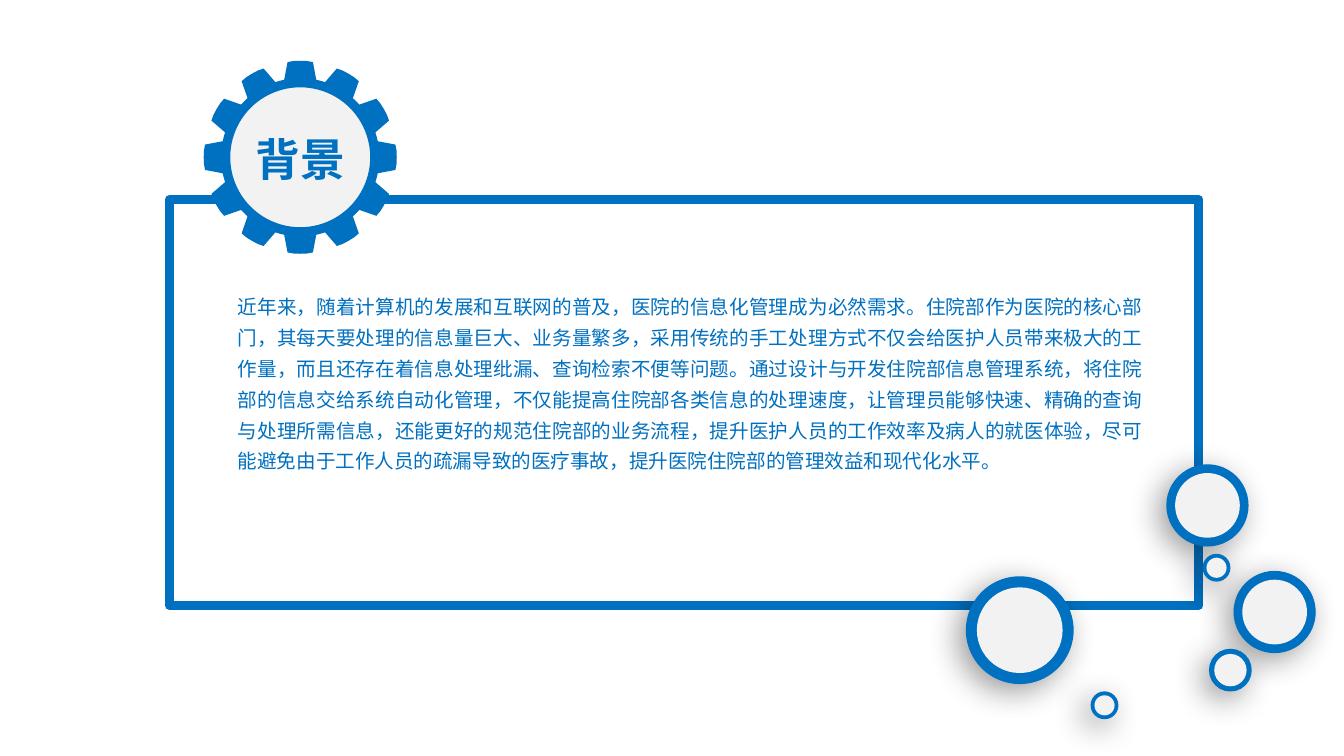
import math

import pptx
import pptx.dml.color
import pptx.enum.shapes
import pptx.enum.text
import pptx.oxml
import pptx.oxml.ns
import pptx.util

PX = 9144  # 100 px to the inch
FONT = "Noto Sans CJK SC"
COLORS = {"blue": "0070C0", "pale": "F2F2F2", "shadow": "000000"}
TEETH = 12

TITLE = "背景"
BODY = (
    "近年来，随着计算机的发展和互联网的普及，医院的信息化管理成为必然需求。"
    "住院部作为医院的核心部门，其每天要处理的信息量巨大、业务量繁多，"
    "采用传统的手工处理方式不仅会给医护人员带来极大的工作量，"
    "而且还存在着信息处理纰漏、查询检索不便等问题。"
    "通过设计与开发住院部信息管理系统，将住院部的信息交给系统自动化管理，"
    "不仅能提高住院部各类信息的处理速度，让管理员能够快速、精确的查询与处理所需信息，"
    "还能更好的规范住院部的业务流程，提升医护人员的工作效率及病人的就医体验，"
    "尽可能避免由于工作人员的疏漏导致的医疗事故，提升医院住院部的管理效益和现代化水平。"
)

# Left, top and diameter of each bubble
BUBBLES = [
    (1158, 537, 74),
    (1135, 610, 37),
    (907, 542, 98),
    (1024, 650, 23),
    (1095, 437, 74),
    (1129, 521, 23),
]


def px(length):
    return pptx.util.Emu(round(length * PX))


def color(name):
    return pptx.dml.color.RGBColor.from_string(COLORS[name])


def style(shape, fill=None, line=None, width=0):
    shape.shadow.inherit = False
    if fill:
        shape.fill.solid()
        shape.fill.fore_color.rgb = color(fill)
    else:
        shape.fill.background()
    if line:
        shape.line.color.rgb = color(line)
        shape.line.width = pptx.util.Pt(width)
    else:
        shape.line.fill.background()


def add_shape(shapes, kind, box, **look):
    preset = getattr(pptx.enum.shapes.MSO_SHAPE, kind)
    shape = shapes.add_shape(preset, *map(px, box))
    style(shape, **look)
    return shape


def add_soft_shadow(shape):
    effects = shape._element.spPr.find(pptx.oxml.ns.qn("a:effectLst"))
    effects.append(pptx.oxml.parse_xml(
        f'<a:outerShdw {pptx.oxml.ns.nsdecls("a")} blurRad="{22 * 12700}" '
        f'dist="{7 * 12700}" dir="{135 * 60000}" algn="tr" rotWithShape="0">'
        f'<a:srgbClr val="{COLORS["shadow"]}"><a:alpha val="40000"/></a:srgbClr>'
        "</a:outerShdw>"))


def add_text(slide, box, text, size, alignment, bold=False, margins=(0, 0)):
    frame = slide.shapes.add_textbox(*map(px, box)).text_frame
    frame.word_wrap = True
    frame.auto_size = pptx.enum.text.MSO_AUTO_SIZE.SHAPE_TO_FIT_TEXT
    frame.margin_left = frame.margin_right = px(margins[0])
    frame.margin_top = frame.margin_bottom = px(margins[1])
    paragraph = frame.paragraphs[0]
    paragraph.alignment = alignment
    run = paragraph.add_run()
    run.text = text
    run.font.size = pptx.util.Pt(size)
    run.font.bold = bold
    run.font.name = FONT
    run.font.color.rgb = color("blue")
    latin = run._r.rPr.find(pptx.oxml.ns.qn("a:latin"))
    latin.addnext(pptx.oxml.parse_xml(
        f'<a:ea {pptx.oxml.ns.nsdecls("a")} typeface="{FONT}"/>'))
    return paragraph


def add_panel(slide, left, top, width, height):
    # Frame with rounded line joins
    frame = add_shape(slide.shapes, "RECTANGLE", (left, top, width, height),
                      line="blue", width=6)
    frame.line._get_or_add_ln().append(
        pptx.oxml.parse_xml(f'<a:round {pptx.oxml.ns.nsdecls("a")}/>'))

    # Body text
    paragraph = add_text(slide, (left + 51, top + 77, width - 91, 186), BODY, 13.2,
                         pptx.enum.text.PP_ALIGN.JUSTIFY, margins=(13, 6))
    paragraph.line_spacing = pptx.util.Pt(20.8)
    paragraph.space_after = pptx.util.Pt(11.3)


def gear_points(center_x, center_y, outer):
    root = outer * 0.82
    # Angle from the middle of a tooth, and the radius there
    tooth = [(-11.7, root), (-7.6, outer * 0.995), (-4, outer), (0, outer),
             (4, outer), (7.6, outer * 0.995), (11.7, root), (15, root)]
    for number in range(TEETH):
        for offset, radius in tooth:
            angle = math.radians(number * 360 / TEETH + offset)
            yield (px(center_x + radius * math.sin(angle)),
                   px(center_y - radius * math.cos(angle)))


def add_gear_badge(slide, left, top, size):
    center_x, center_y = left + size / 2, top + size / 2
    group = slide.shapes.add_group_shape()

    # Gear
    first, *others = gear_points(center_x, center_y, size / 2)
    builder = group.shapes.build_freeform(*first, scale=1)
    builder.add_line_segments(others, close=True)
    style(builder.convert_to_shape(), fill="blue")

    # Pale disc
    disc = 134
    add_shape(group.shapes, "OVAL",
              (center_x - disc / 2, center_y - disc / 2, disc, disc),
              fill="pale", line="blue", width=2)

    # Title
    add_text(slide, (center_x - 77, top + 67, 154, 51), TITLE, 30.2,
             pptx.enum.text.PP_ALIGN.CENTER, bold=True)


def add_bubble(slide, left, top, size):
    group = slide.shapes.add_group_shape()
    ring = add_shape(group.shapes, "OVAL", (left, top, size, size),
                     fill="blue", line="blue", width=2.25)
    add_soft_shadow(ring)
    inset = size * 0.09
    inner = size - 2 * inset
    add_shape(group.shapes, "OVAL", (left + inset, top + inset, inner, inner),
              fill="pale")


def main():
    presentation = pptx.Presentation()
    presentation.slide_width = px(1260)
    presentation.slide_height = px(709)
    slide = presentation.slides.add_slide(presentation.slide_layouts[6])

    add_panel(slide, 159, 187, 965, 381)
    add_gear_badge(slide, 191, 57, 181)
    for bubble in BUBBLES:
        add_bubble(slide, *bubble)

    presentation.save("out.pptx")


if __name__ == "__main__":
    main()
